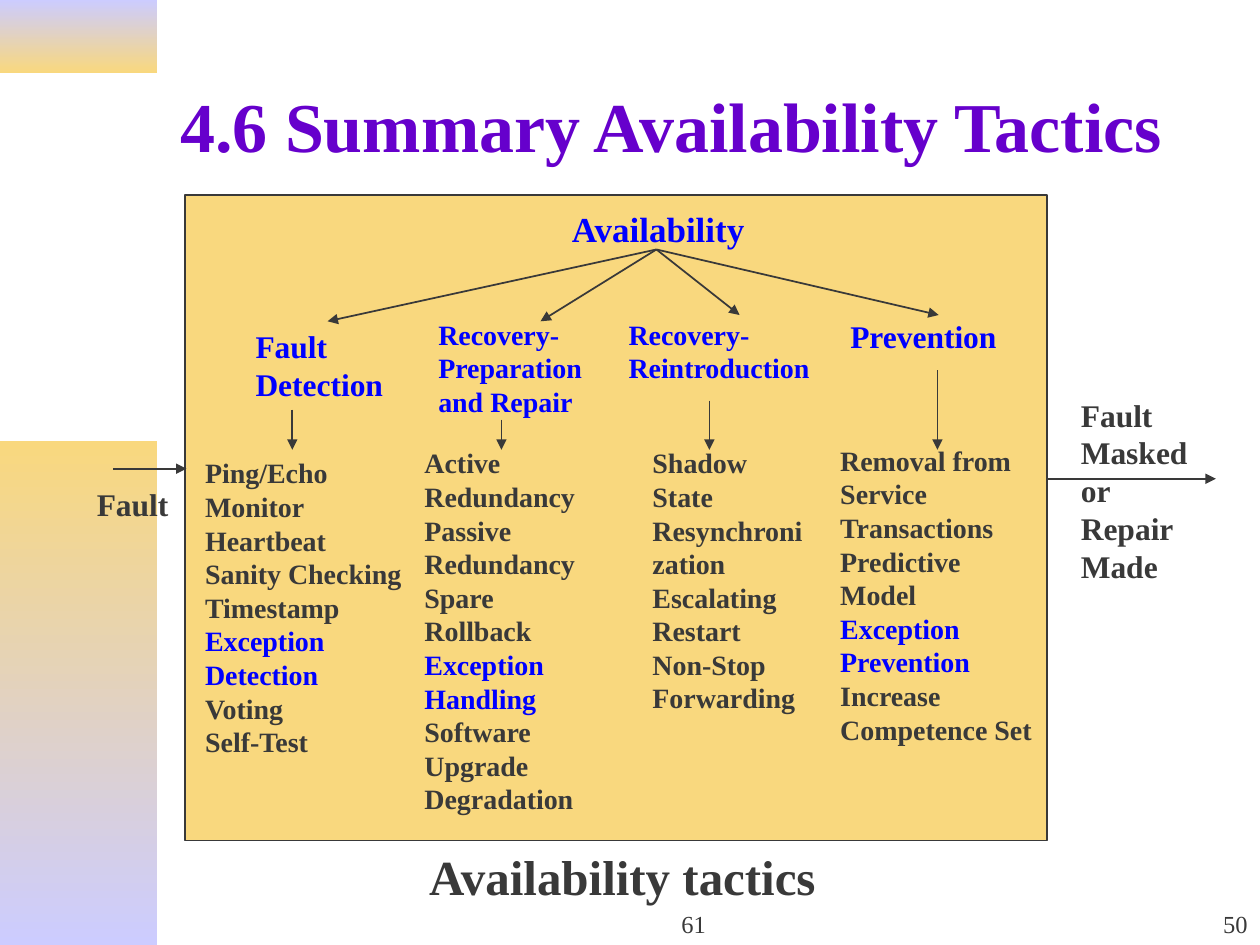
from pptx import Presentation
from pptx.dml.color import RGBColor
from pptx.enum.shapes import MSO_CONNECTOR, MSO_SHAPE
from pptx.enum.text import MSO_ANCHOR, MSO_AUTO_SIZE, PP_ALIGN
from pptx.oxml.ns import qn
from pptx.util import Inches, Pt
from lxml.etree import SubElement

FONT = "Times New Roman"
LEAD = 1.2  # line pitch as a share of the text size
PURPLE = RGBColor(0x66, 0x00, 0xCC)
BLUE = RGBColor(0x00, 0x00, 0xFF)
DARK = RGBColor(0x39, 0x39, 0x39)
GOLD = RGBColor(0xF9, 0xD8, 0x7E)
LILAC = RGBColor(0xCC, 0xCC, 0xFF)

# Content: each branch has a head, its tactics and its arrows
TITLE = "4.6 Summary Availability Tactics"
BRANCHES = [
    dict(head="Fault Detection", size=18, box=(1.93, 2.55, 1.34, 0.7),
         tip=(2.6, 2.55), drop=(2.32, 3.25), list=(1.53, 3.57, 1.84, 2.5),
         items=["Ping/Echo", "Monitor", "Heartbeat", "Sanity Checking",
                "Timestamp", "Exception Detection", "Voting", "Self-Test"]),
    dict(head="Recovery-Preparation and Repair", size=16,
         box=(3.38, 2.47, 1.65, 0.9),
         tip=(4.29, 2.55), drop=(3.98, 3.33), list=(3.27, 3.49, 1.48, 3.03),
         items=["Active Redundancy", "Passive Redundancy", "Spare",
                "Rollback", "Exception Handling", "Software Upgrade",
                "Degradation"]),
    dict(head="Recovery-Reintroduction", size=16, box=(4.89, 2.47, 1.77, 0.64),
         tip=(5.87, 2.5), drop=(5.63, 3.18), list=(5.08, 3.49, 1.42, 2.24),
         items=["Shadow", "State Resynchronization", "Escalating Restart",
                "Non-Stop Forwarding"]),
    dict(head="Prevention", size=18, box=(6.65, 2.47, 1.5, 0.4),
         tip=(7.45, 2.5), drop=(7.44, 2.94), list=(6.57, 3.47, 1.75, 2.5),
         items=["Removal from Service", "Transactions", "Predictive Model",
                "Exception Prevention", "Increase Competence Set"]),
]
ADDED = {"Exception Detection", "Exception Handling", "Exception Prevention"}
LABELS = [  # text, box, size, colour
    ("Availability", (4.44, 1.6, 1.6, 0.44), 20, BLUE),
    ("Fault", (0.67, 3.8, 0.93, 0.4), 18, DARK),
    ("Fault Masked or Repair Made", (8.48, 3.09, 1.17, 1.6), 18, DARK),
]
FOOTERS = [
    ("61", (3.92, 7, 3.17, 0.5), PP_ALIGN.CENTER),
    ("50", (7.92, 7, 2.08, 0.5), PP_ALIGN.RIGHT),
]
BANDS = [  # box, top colour, bottom colour
    ((0, 0, 1.25, 0.58), LILAC, GOLD),
    ((0, 3.5, 1.25, 4), GOLD, LILAC),
]
PANEL = (1.47, 1.55, 6.84, 5.12)
ROOT = (5.21, 1.98)
DROP_END = 3.57

prs = Presentation()
prs.slide_width, prs.slide_height = Inches(10), Inches(7.5)
slide = prs.slides.add_slide(prs.slide_layouts[5])
shapes = slide.shapes


def inch(box):
    return [Inches(v) for v in box]


def style(par, size, color, bold=True, align=PP_ALIGN.LEFT):
    par.alignment = align
    par.line_spacing = Pt(size * LEAD)
    font = par.font
    font.name, font.size, font.bold = FONT, Pt(size), bold
    font.color.rgb = color


def label(lines, box, size, color, bold=True, align=PP_ALIGN.LEFT,
          anchor=MSO_ANCHOR.TOP):
    frame = shapes.add_textbox(*inch(box)).text_frame
    frame.word_wrap = True
    frame.vertical_anchor = anchor
    frame.text = "\n".join(lines)
    for par in frame.paragraphs:
        style(par, size, BLUE if par.text in ADDED else color, bold, align)


def block(box):
    shape = shapes.add_shape(MSO_SHAPE.RECTANGLE, *inch(box))
    shape.shadow.inherit = False
    return shape


def arrow(start, end):
    line = shapes.add_connector(MSO_CONNECTOR.STRAIGHT,
                                *inch(start), *inch(end))
    line.line.color.rgb, line.line.width = DARK, Pt(1)
    props = line._element.spPr
    SubElement(props.find(qn("a:ln")), qn("a:tailEnd"), type="triangle")
    SubElement(props, qn("a:effectLst"))


# Side bands
for box, top, base in BANDS:
    band = block(box)
    band.line.fill.background()
    band.fill.gradient()
    band.fill.gradient_angle = 270
    for stop, color, place in zip(band.fill.gradient_stops, (top, base), (0, 1)):
        stop.color.rgb, stop.position = color, place

# Title
title = shapes.title
title.left, title.top, title.width, title.height = inch((1.33, 0.33, 8.5, 1.32))
title.text = TITLE
title.text_frame.auto_size = MSO_AUTO_SIZE.NONE
title.text_frame.vertical_anchor = MSO_ANCHOR.MIDDLE
style(title.text_frame.paragraphs[0], 40, PURPLE)

# Panel with the flow in and out
arrow((8.32, 3.8), (9.65, 3.8))
panel = block(PANEL)
panel.fill.solid()
panel.fill.fore_color.rgb = GOLD
panel.line.color.rgb, panel.line.width = DARK, Pt(1)
arrow((0.9, 3.72), (1.48, 3.72))
for text, box, size, color in LABELS:
    label([text], box, size, color)

# Branches of the tree
for part in BRANCHES:
    label([part["head"]], part["box"], part["size"], BLUE)
    label(part["items"], part["list"], 16, DARK)
    arrow(ROOT, part["tip"])
    arrow(part["drop"], (part["drop"][0], DROP_END))

# Caption and page numbers
label(["Availability tactics"], (1.24, 6.67, 7.4, 0.57), 28, DARK,
      align=PP_ALIGN.CENTER)
for text, box, align in FOOTERS:
    label([text], box, 14, DARK, False, align, MSO_ANCHOR.BOTTOM)

prs.save("out.pptx")
